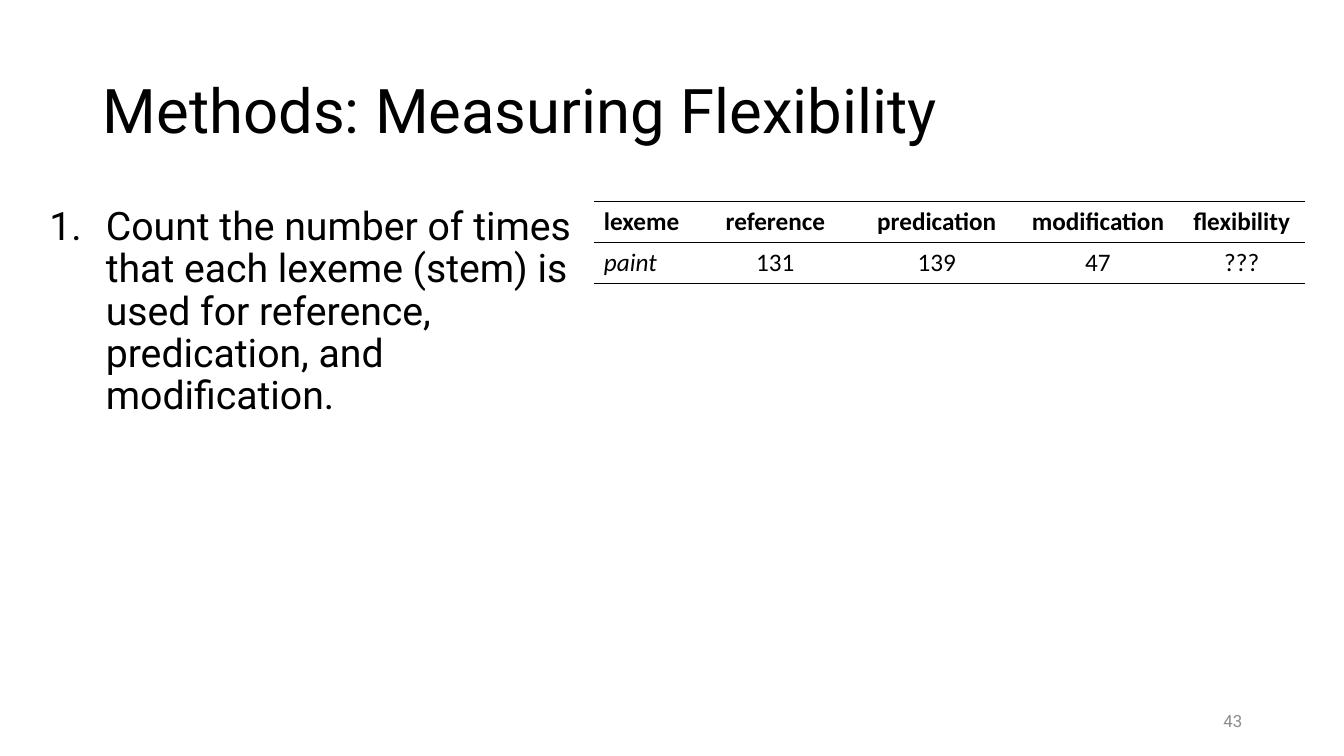
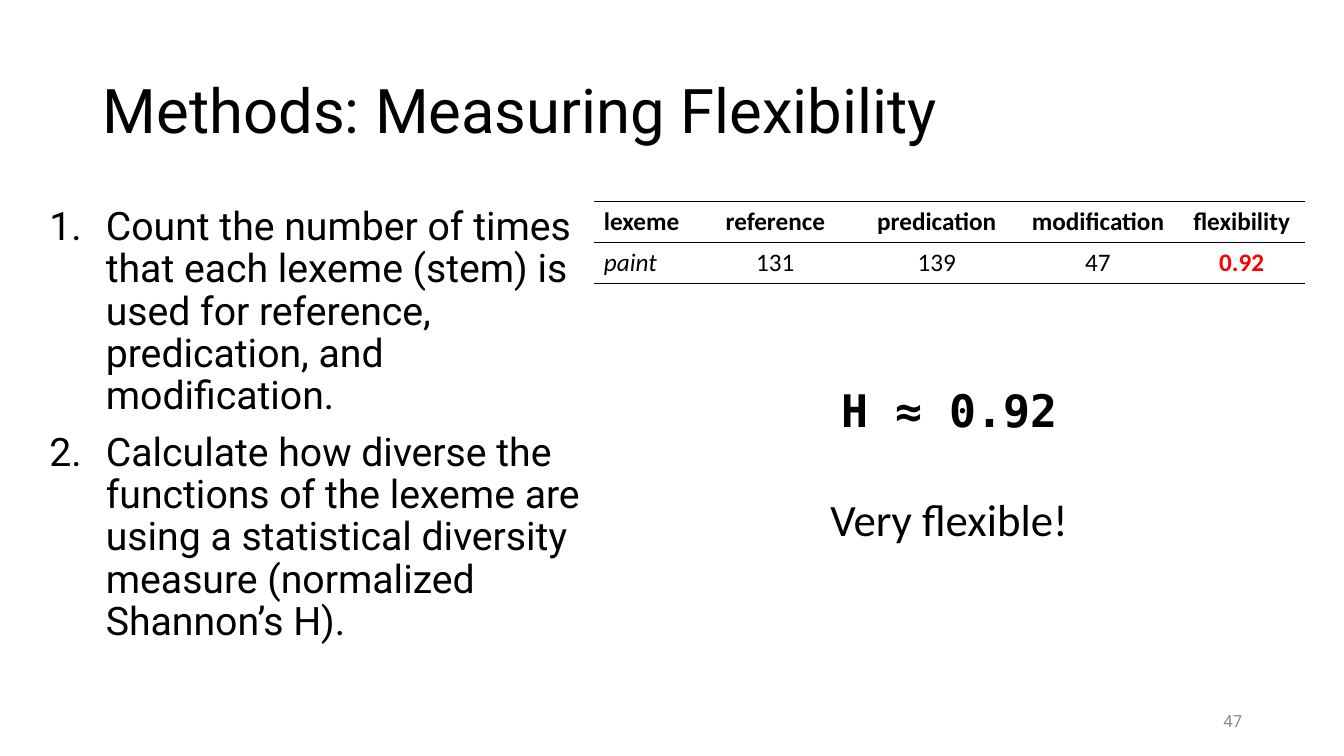
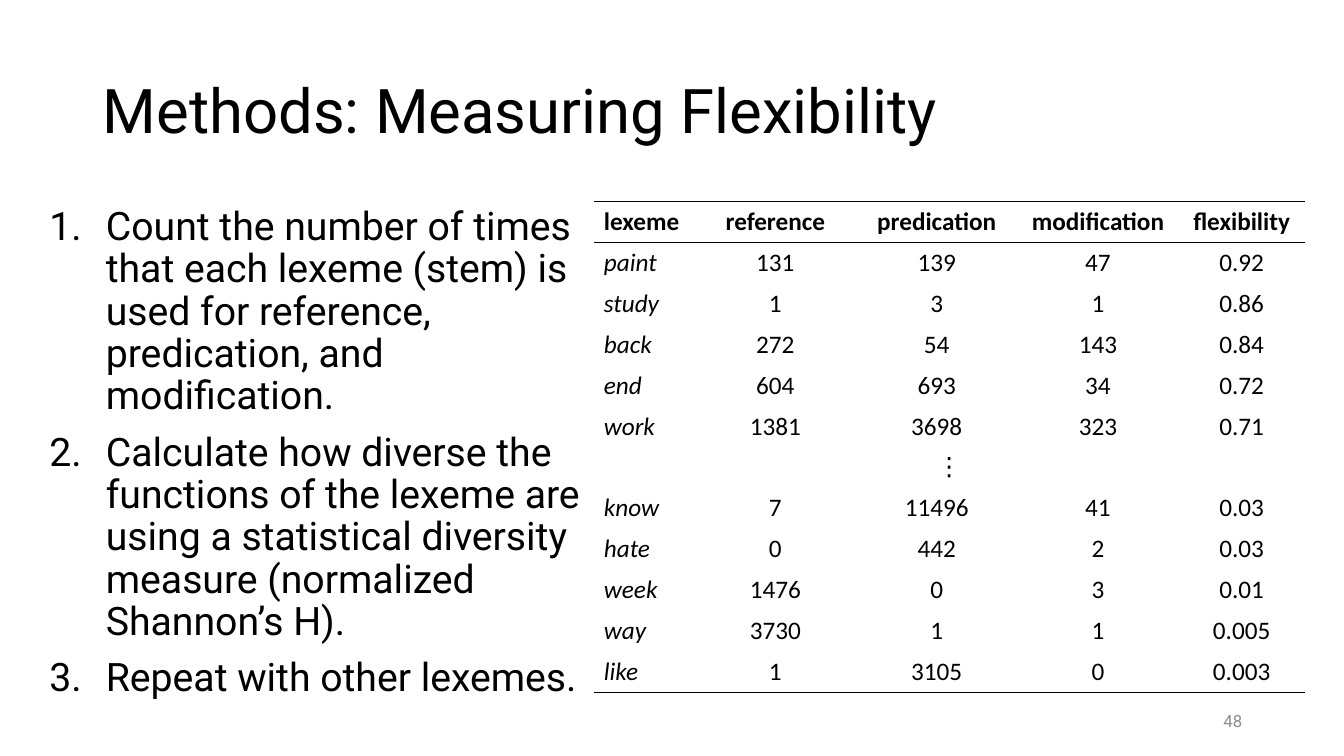
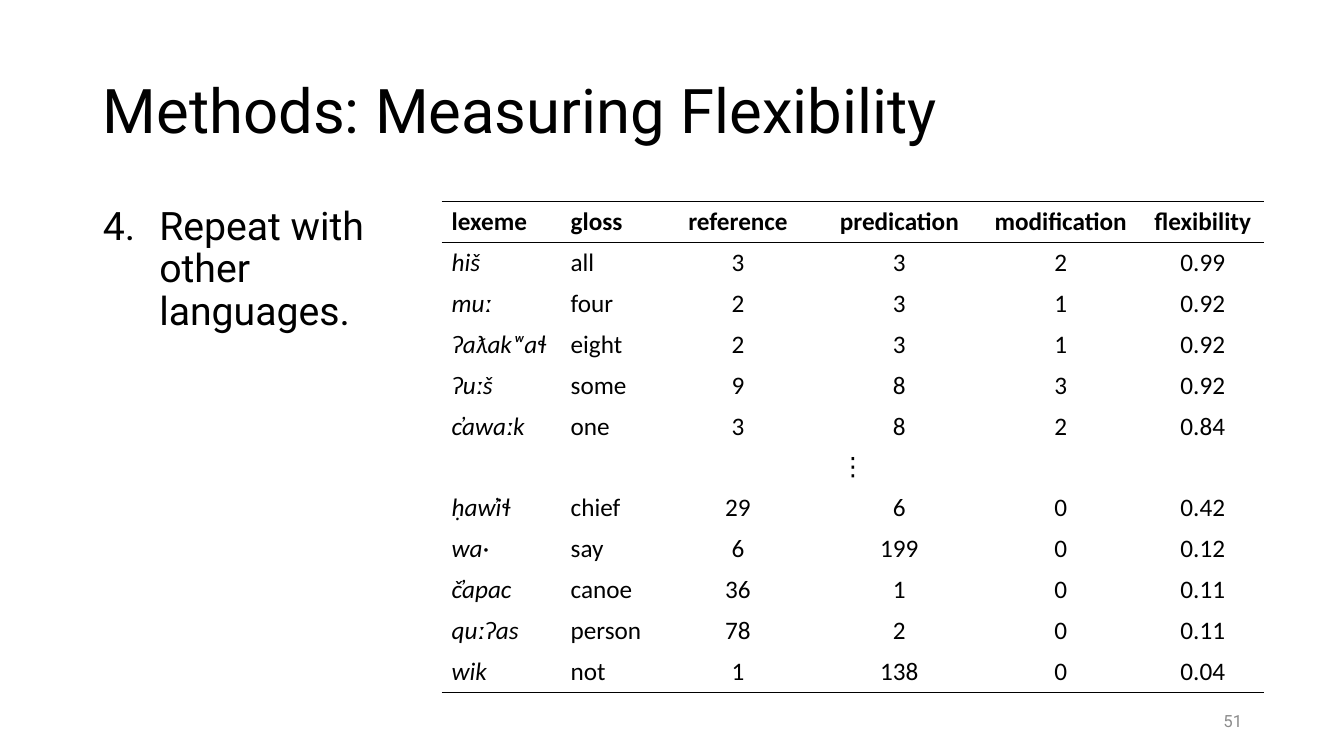
from dataclasses import dataclass
from typing import Optional

from pptx import Presentation
from pptx.dml.color import RGBColor
from pptx.enum.text import MSO_ANCHOR, MSO_AUTO_SIZE, PP_ALIGN
from pptx.oxml import parse_xml
from pptx.oxml.ns import nsdecls, qn
from pptx.util import Emu, Pt

EMU_PER_PX = 9144
COLORS = {"ink": "000000", "muted": "8C8C8C", "accent": "FF0000"}
HEADING, BODY, MONO = "Roboto", "Calibri", "DejaVu Sans Mono"
NO_STYLE = "{2D5ABB26-0587-4C30-8999-92F81FD0307C}"
TITLE = "Methods: Measuring Flexibility"
ELLIPSIS = ("⋮",)
INDENT = 56


@dataclass(frozen=True)
class Box:
    """A rectangle in px."""
    x: int
    y: int
    w: int
    h: int


@dataclass(frozen=True)
class Column:
    """A table column; label columns are left aligned."""
    name: str
    w: int
    label: bool = False


@dataclass(frozen=True)
class TableSpec:
    """Place, columns and rows of a lexeme table."""
    x: int
    h: int
    columns: tuple[Column, ...]
    rows: tuple[tuple[str, ...], ...]
    accent: Optional[str] = None


@dataclass(frozen=True)
class SlideSpec:
    """What one slide shows."""
    number: str
    box: Box
    steps: tuple[str, ...]
    table: TableSpec
    start: int = 1
    result: tuple[str, ...] = ()


COUNTS = tuple(Column(n, 160) for n in ("reference", "predication", "modification"))
ENGLISH = (Column("lexeme", 100, True), *COUNTS, Column("flexibility", 125))
GLOSSED = (Column("lexeme", 118, True), Column("gloss", 96, True), *COUNTS,
           Column("flexibility", 122))
PAINT = ("paint", "131", "139", "47")
STEPS = (
    "Count the number of times that each lexeme (stem) is used for reference, "
    "predication, and modification.",
    "Calculate how diverse the functions of the lexeme are using a statistical "
    "diversity measure (normalized Shannon’s H).",
    "Repeat with other lexemes.",
)
ENGLISH_ROWS = (
    (*PAINT, "0.92"),
    ("study", "1", "3", "1", "0.86"),
    ("back", "272", "54", "143", "0.84"),
    ("end", "604", "693", "34", "0.72"),
    ("work", "1381", "3698", "323", "0.71"),
    ELLIPSIS,
    ("know", "7", "11496", "41", "0.03"),
    ("hate", "0", "442", "2", "0.03"),
    ("week", "1476", "0", "3", "0.01"),
    ("way", "3730", "1", "1", "0.005"),
    ("like", "1", "3105", "0", "0.003"),
)
GLOSSED_ROWS = (
    ("hiš", "all", "3", "3", "2", "0.99"),
    ("muː", "four", "2", "3", "1", "0.92"),
    ("ʔaƛakʷaɬ", "eight", "2", "3", "1", "0.92"),
    ("ʔuːš", "some", "9", "8", "3", "0.92"),
    ("c̓awaːk", "one", "3", "8", "2", "0.84"),
    ELLIPSIS,
    ("ḥaw̓iɬ", "chief", "29", "6", "0", "0.42"),
    ("wa·", "say", "6", "199", "0", "0.12"),
    ("č̓apac", "canoe", "36", "1", "0", "0.11"),
    ("quːʔas", "person", "78", "2", "0", "0.11"),
    ("wik", "not", "1", "138", "0", "0.04"),
)
SLIDES = (
    SlideSpec("43", Box(39, 200, 550, 476), STEPS[:1],
              TableSpec(589, 81, ENGLISH, ((*PAINT, "???"),))),
    SlideSpec("47", Box(39, 200, 550, 476), STEPS[:2],
              TableSpec(589, 81, ENGLISH, ENGLISH_ROWS[:1], accent="0.92"),
              result=("H ≈ 0.92", "Very flexible!")),
    SlideSpec("48", Box(39, 200, 550, 510), STEPS,
              TableSpec(589, 487, ENGLISH, ENGLISH_ROWS)),
    SlideSpec("51", Box(92, 200, 346, 476), ("Repeat with other languages.",),
              TableSpec(438, 487, GLOSSED, GLOSSED_ROWS), start=4),
)


def px(n: int) -> Emu:
    """Turn px into EMU."""
    return Emu(n * EMU_PER_PX)


def frame(box: Box) -> tuple[Emu, Emu, Emu, Emu]:
    """Give the EMU place and size of a box."""
    return px(box.x), px(box.y), px(box.w), px(box.h)


def place(sp, box: Box) -> None:
    """Move a placeholder to a box."""
    sp.left, sp.top, sp.width, sp.height = frame(box)


def add_run(p, text: str, size: int, font: str, color: str = "ink",
            bold: bool = False, italic: bool = False) -> None:
    """Add a formatted run to a paragraph."""
    r = p.add_run()
    r.text = text
    f = r.font
    f.name, f.size, f.bold, f.italic = font, Pt(size), bold, italic
    f.color.rgb = RGBColor.from_string(COLORS[color])


def add_title(s) -> None:
    """Fill the title placeholder."""
    sp = s.shapes.title
    place(sp, Box(92, 40, 1150, 145))
    tf = sp.text_frame
    tf.auto_size = MSO_AUTO_SIZE.NONE
    tf.vertical_anchor = MSO_ANCHOR.MIDDLE
    p = tf.paragraphs[0]
    p.alignment, p.line_spacing = PP_ALIGN.LEFT, 0.9
    add_run(p, TITLE, 44, HEADING)


def add_steps(s, spec: SlideSpec) -> None:
    """Fill the body placeholder with numbered steps."""
    sp = s.placeholders[1]
    place(sp, spec.box)
    tf = sp.text_frame
    tf.auto_size = MSO_AUTO_SIZE.NONE
    for i, step in enumerate(spec.steps):
        p = tf.add_paragraph() if i else tf.paragraphs[0]
        p.line_spacing, p.space_before = 0.9, Pt(10)
        pPr = p._p.get_or_add_pPr()
        pPr.set("marL", str(px(INDENT)))
        pPr.set("indent", str(-px(INDENT)))
        pPr.append(parse_xml(f'<a:buFont {nsdecls("a")} typeface="{HEADING}"/>'))
        pPr.append(parse_xml(f'<a:buAutoNum {nsdecls("a")} type="arabicPeriod" '
                             f'startAt="{spec.start}"/>'))
        add_run(p, step, 28, HEADING)


def add_rule(cell, side: str) -> None:
    """Draw a cell border on side T or B."""
    cell._tc.get_or_add_tcPr().append(parse_xml(
        f'<a:ln{side} {nsdecls("a")} w="{Pt(1)}"><a:solidFill>'
        f'<a:srgbClr val="{COLORS["ink"]}"/></a:solidFill></a:ln{side}>'))


def add_lexemes(s, spec: TableSpec) -> None:
    """Add a table ruled above and below its header and at its foot."""
    rows = (tuple(c.name for c in spec.columns), *spec.rows)
    width = sum(c.w for c in spec.columns)
    tbl = s.shapes.add_table(len(rows), len(spec.columns),
                             *frame(Box(spec.x, 200, width, spec.h))).table
    tbl.horz_banding = False
    tbl._tbl.tblPr.find(qn("a:tableStyleId")).text = NO_STYLE
    for j, col in enumerate(spec.columns):
        tbl.columns[j].width = px(col.w)
    for i, row in enumerate(rows):
        merged = row == ELLIPSIS
        if merged:
            tbl.cell(i, 0).merge(tbl.cell(i, len(spec.columns) - 1))
        for j, text in enumerate(row):
            cell = tbl.cell(i, j)
            cell.vertical_anchor = MSO_ANCHOR.MIDDLE
            if i == 0:
                add_rule(cell, "T")
            if i in (0, len(rows) - 1):
                add_rule(cell, "B")
            cell.fill.background()
            p = cell.text_frame.paragraphs[0]
            left = spec.columns[j].label and not merged
            p.alignment = PP_ALIGN.LEFT if left else PP_ALIGN.CENTER
            accent = text == spec.accent
            add_run(p, text, 18, BODY, "accent" if accent else "ink",
                    bold=i == 0 or accent, italic=i > 0 and j == 0 and not merged)


def add_number(s, number: str) -> None:
    """Add the slide number."""
    tf = s.shapes.add_textbox(*frame(Box(942, 695, 300, 40))).text_frame
    tf.word_wrap = True
    tf.vertical_anchor = MSO_ANCHOR.MIDDLE
    p = tf.paragraphs[0]
    p.alignment = PP_ALIGN.RIGHT
    add_run(p, number, 12, HEADING, "muted")


def add_result(s, value: str, verdict: str) -> None:
    """Add the computed value and its verdict."""
    tf = s.shapes.add_textbox(*frame(Box(728, 375, 427, 172))).text_frame
    tf.word_wrap = True
    tf.auto_size = MSO_AUTO_SIZE.SHAPE_TO_FIT_TEXT
    p = tf.paragraphs[0]
    p.alignment = PP_ALIGN.CENTER
    add_run(p, value, 32, MONO, bold=True)
    p = tf.add_paragraph()
    p.alignment, p.space_before = PP_ALIGN.CENTER, Pt(39)
    add_run(p, verdict, 32, BODY)


def main() -> None:
    """Build and save the slides."""
    prs = Presentation()
    prs.slide_width, prs.slide_height = px(1333), px(750)
    for spec in SLIDES:
        s = prs.slides.add_slide(prs.slide_layouts[1])
        add_title(s)
        add_steps(s, spec)
        add_lexemes(s, spec.table)
        add_number(s, spec.number)
        if spec.result:
            add_result(s, *spec.result)
    prs.save("out.pptx")


if __name__ == "__main__":
    main()
